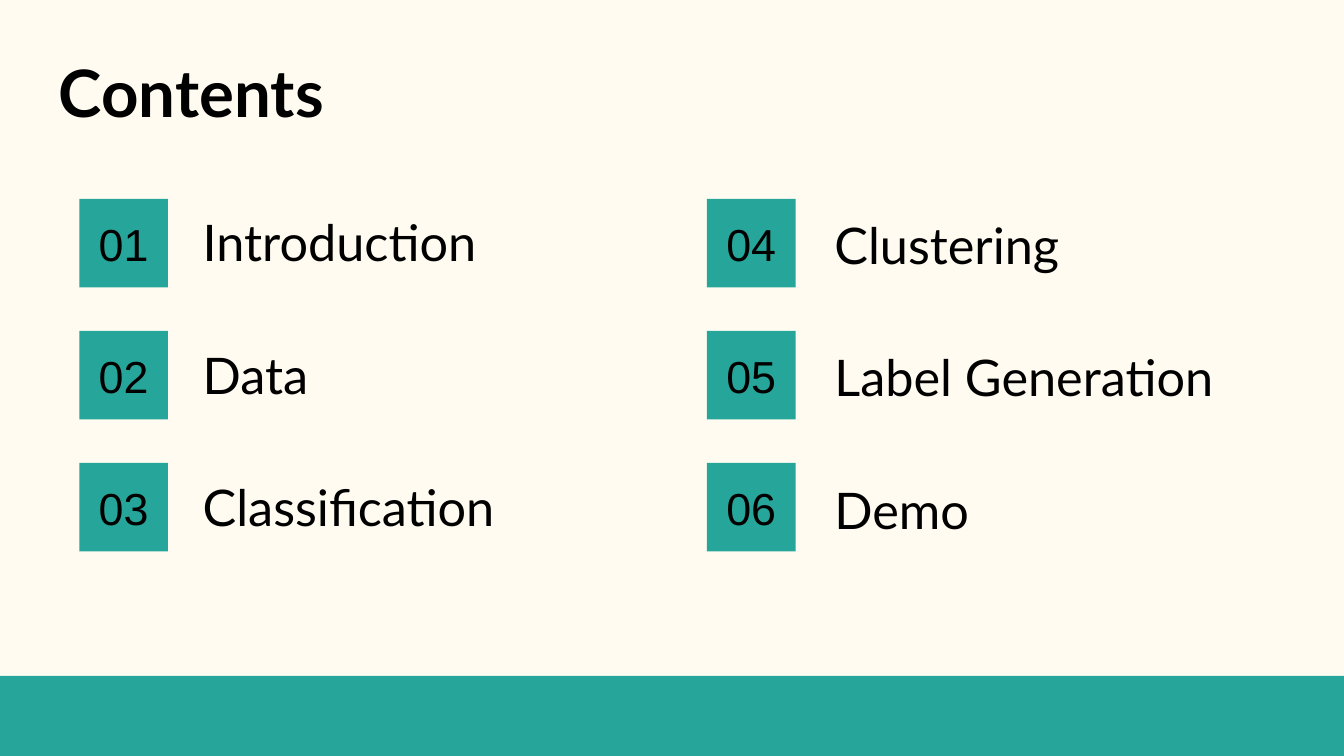
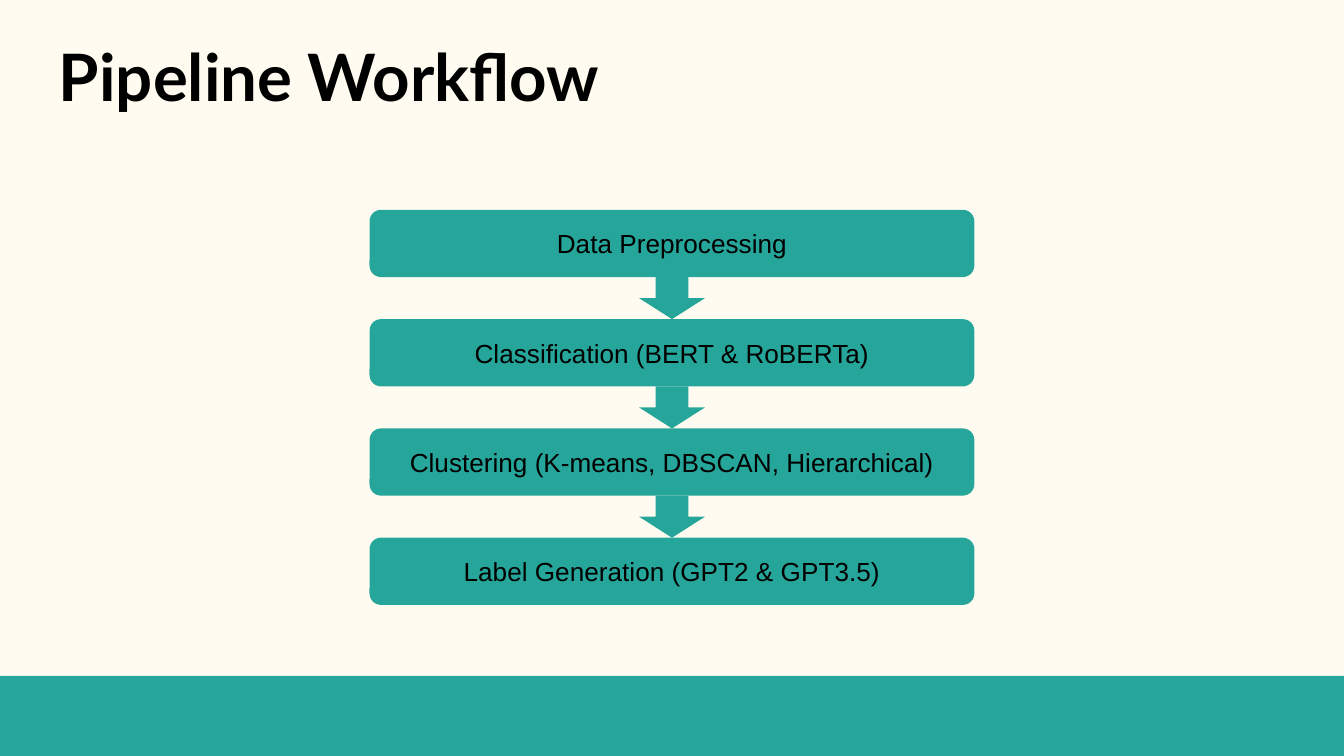
from dataclasses import dataclass

from pptx import Presentation
from pptx import util as u
from pptx.dml import color
from pptx.enum import shapes, text

# Square grid: 100 columns across, 56.25 rows down
WIDTH = u.Inches(10)
HEIGHT = WIDTH * 9 // 16
CELL = WIDTH / 100
ROWS = HEIGHT / CELL


@dataclass(frozen=True)
class Theme:
    paper: str = "FFFBF0"
    teal: str = "26A69A"
    ink: str = "000000"
    heading_font: str = "Lato"
    body_font: str = "Arial"
    title_size: int = 35
    topic_size: int = 27
    number_size: int = 24
    step_size: int = 14


@dataclass(frozen=True)
class Area:
    """A rectangle in columns and rows of the grid."""
    left: float
    top: float
    width: float
    height: float

    def lengths(self) -> list[u.Emu]:
        return [u.Emu(round(n * CELL))
                for n in (self.left, self.top, self.width, self.height)]


@dataclass(frozen=True)
class Topic:
    name: str
    label_width: float = 25.6


@dataclass(frozen=True)
class TopicColumn:
    number_left: float
    label_left: float
    label_top: float
    topics: tuple[Topic, ...]


THEME = Theme()
TEXT_HEIGHT = 6.7

# Contents grid
NUMBER_TOP, NUMBER_SIDE = 14.8, 6.6
NUMBER_PITCH, LABEL_PITCH = 9.82, 9.87
CONTENTS = (
    TopicColumn(5.9, 14.1, 14.7,
                (Topic("Introduction"), Topic("Data"), Topic("Classification"))),
    TopicColumn(52.6, 61.1, 14.9,
                (Topic("Clustering"), Topic("Label Generation", 32.1), Topic("Demo"))),
)

# Workflow stack
STEP_TOP, STEP_WIDTH, STEP_HEIGHT, STEP_PITCH = 15.62, 45, 5, 8.13
ARROW_WIDTH = 4.9
STEPS = (
    "Data Preprocessing",
    "Classification (BERT & RoBERTa)",
    "Clustering (K-means, DBSCAN, Hierarchical)",
    "Label Generation (GPT2 & GPT3.5)",
)


def write(shape, words: str, font: str, size: int, bold: bool = False,
          centred: bool = False) -> None:
    frame = shape.text_frame
    frame.word_wrap = True
    frame.margin_left = frame.margin_right = u.Inches(0.1)
    frame.margin_top = frame.margin_bottom = u.Inches(0.1)
    frame.vertical_anchor = text.MSO_ANCHOR.MIDDLE if centred else text.MSO_ANCHOR.TOP
    paragraph = frame.paragraphs[0]
    paragraph.alignment = text.PP_ALIGN.CENTER if centred else text.PP_ALIGN.LEFT
    run = paragraph.add_run()
    run.text = words
    run.font.name = font
    run.font.size = u.Pt(size)
    run.font.bold = bold
    run.font.color.rgb = color.RGBColor.from_string(THEME.ink)


def add_block(slide, kind: shapes.MSO_SHAPE, area: Area):
    block = slide.shapes.add_shape(kind, *area.lengths())
    block.shadow.inherit = False
    block.fill.solid()
    block.fill.fore_color.rgb = color.RGBColor.from_string(THEME.teal)
    block.line.fill.background()
    return block


def add_heading(slide, words: str, area: Area, size: int, bold: bool = False) -> None:
    heading = slide.shapes.add_textbox(*area.lengths())
    write(heading, words, THEME.heading_font, size, bold)


def start_slide(deck, title: str, title_top: float):
    """Add a slide with the shared bottom band and title."""
    slide = deck.slides.add_slide(deck.slide_layouts[6])
    band_top = 50.3
    add_block(slide, shapes.MSO_SHAPE.RECTANGLE,
              Area(0, band_top, 100, ROWS - band_top))
    add_heading(slide, title, Area(3.4, title_top, 93.2, TEXT_HEIGHT),
                THEME.title_size, bold=True)
    return slide


def build_contents(deck) -> None:
    slide = start_slide(deck, "Contents", 2.9)
    number = 0
    for column in CONTENTS:
        for row, topic in enumerate(column.topics):
            number += 1
            square = add_block(slide, shapes.MSO_SHAPE.RECTANGLE,
                               Area(column.number_left, NUMBER_TOP + row * NUMBER_PITCH,
                                    NUMBER_SIDE, NUMBER_SIDE))
            write(square, f"{number:02d}", THEME.body_font, THEME.number_size,
                  centred=True)
            add_heading(slide, topic.name,
                        Area(column.label_left, column.label_top + row * LABEL_PITCH,
                             topic.label_width, TEXT_HEIGHT), THEME.topic_size)


def build_workflow(deck) -> None:
    slide = start_slide(deck, "Pipeline Workflow", 1.7)
    for row, step in enumerate(STEPS):
        top = STEP_TOP + row * STEP_PITCH
        box = add_block(slide, shapes.MSO_SHAPE.ROUNDED_RECTANGLE,
                        Area((100 - STEP_WIDTH) / 2, top, STEP_WIDTH, STEP_HEIGHT))
        box.adjustments[0] = 0.17
        write(box, step, THEME.body_font, THEME.step_size, centred=True)
        # Arrow fills the gap down to the next step
        if row < len(STEPS) - 1:
            add_block(slide, shapes.MSO_SHAPE.DOWN_ARROW,
                      Area((100 - ARROW_WIDTH) / 2, top + STEP_HEIGHT,
                           ARROW_WIDTH, STEP_PITCH - STEP_HEIGHT))


def main() -> None:
    deck = Presentation()
    deck.slide_width, deck.slide_height = WIDTH, HEIGHT
    # Paper colour, inherited by every slide
    paper = deck.slide_master.background.fill
    paper.solid()
    paper.fore_color.rgb = color.RGBColor.from_string(THEME.paper)
    build_contents(deck)
    build_workflow(deck)
    deck.save("out.pptx")


if __name__ == "__main__":
    main()
